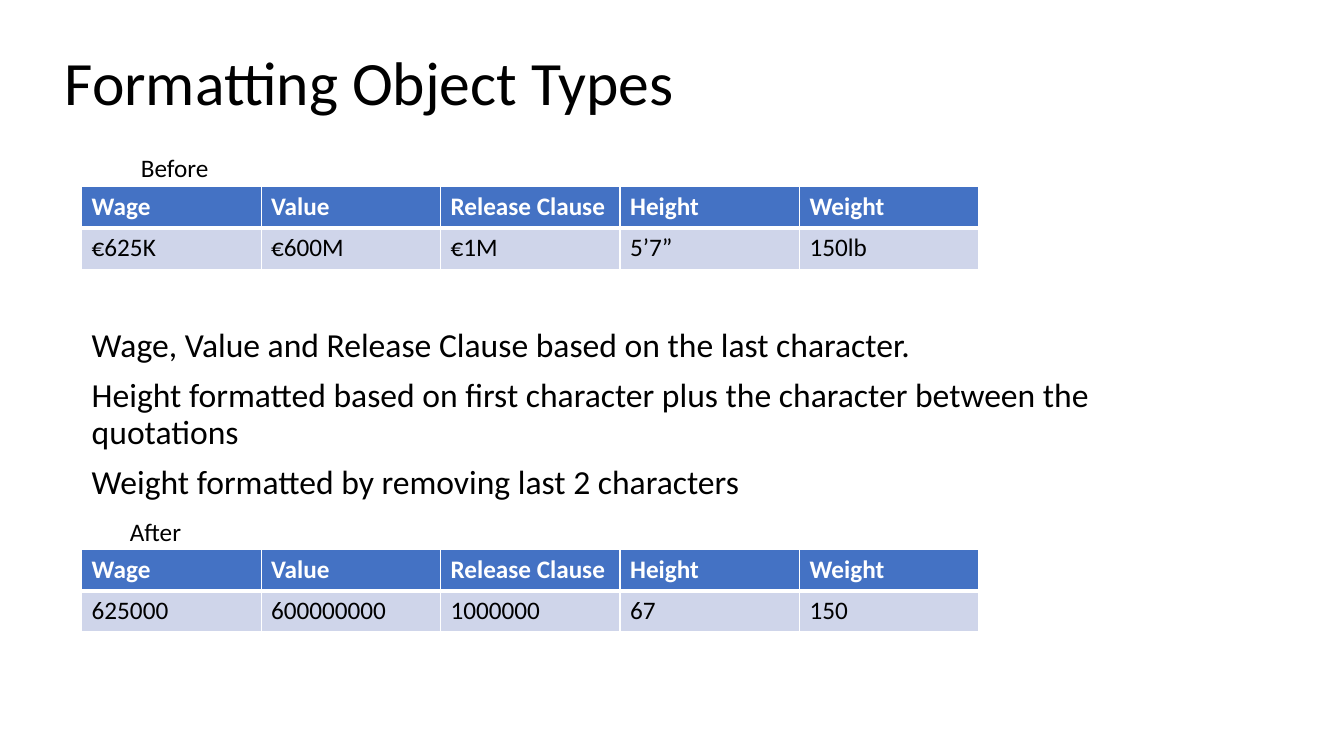
from lxml import etree
from pptx import Presentation
from pptx.dml.color import RGBColor
from pptx.enum.text import MSO_ANCHOR, MSO_AUTO_SIZE, PP_ALIGN
from pptx.oxml.ns import qn
from pptx.util import Inches, Pt

BLACK = RGBColor(0x00, 0x00, 0x00)
WHITE = RGBColor(0xFF, 0xFF, 0xFF)
HEADER_BLUE = RGBColor(0x44, 0x72, 0xC4)
ROW_BLUE = RGBColor(0xCF, 0xD5, 0xEA)

HEADERS = ["Wage", "Value", "Release Clause", "Height", "Weight"]
BEFORE = ["€625K", "€600M", "€1M", "5’7”", "150lb"]
AFTER = ["625000", "600000000", "1000000", "67", "150"]
RULES = [
    "Wage, Value and Release Clause based on the last character.",
    "Height formatted based on first character plus the character between the quotations",
    "Weight formatted by removing last 2 characters",
]
COLUMN_WIDTH, ROW_HEIGHT = 1.78, 0.41


def format_paragraph(paragraph, size, color=BLACK, bold=False):
    font = paragraph.font
    font.name, font.size, font.bold = "Calibri", Pt(size), bold
    font.color.rgb = color
    paragraph.alignment = PP_ALIGN.LEFT


def place(shape, left, top, width, height):
    shape.left, shape.top = Inches(left), Inches(top)
    shape.width, shape.height = Inches(width), Inches(height)


def fill_title(title, text, left, top, width, height):
    place(title, left, top, width, height)
    frame = title.text_frame
    frame.text = text
    frame.auto_size = MSO_AUTO_SIZE.NONE
    frame.vertical_anchor = MSO_ANCHOR.MIDDLE
    format_paragraph(frame.paragraphs[0], 44)
    frame.paragraphs[0].line_spacing = 0.9


def fill_body(body, lines, left, top, width, height):
    """Fill the body placeholder with unbulleted paragraphs."""
    place(body, left, top, width, height)
    frame = body.text_frame
    frame.text = "\n".join(lines)
    frame.auto_size = MSO_AUTO_SIZE.NONE
    for paragraph in frame.paragraphs:
        format_paragraph(paragraph, 24)
        paragraph.line_spacing = 0.9
        paragraph.space_before = Pt(10)
        properties = paragraph._p.get_or_add_pPr()
        properties.set("marL", "0")
        properties.set("indent", "0")
        etree.SubElement(properties, qn("a:buNone"))


def add_borders(cell, bottom_width):
    """Draw white cell borders, 1 pt except along the bottom."""
    properties = cell._tc.get_or_add_tcPr()
    for side, width in (("L", 1), ("R", 1), ("T", 1), ("B", bottom_width)):
        line = etree.SubElement(properties, qn(f"a:ln{side}"), w=str(Pt(width)))
        fill = etree.SubElement(line, qn("a:solidFill"))
        etree.SubElement(fill, qn("a:srgbClr"), val=str(WHITE))


def add_player_table(slide, values, left, top):
    rows = [HEADERS, values]
    table = slide.shapes.add_table(
        len(rows), len(HEADERS), Inches(left), Inches(top),
        Inches(COLUMN_WIDTH * len(HEADERS)), Inches(ROW_HEIGHT * len(rows)),
    ).table
    for row_index, row in enumerate(rows):
        is_header = row_index == 0
        for column_index, text in enumerate(row):
            cell = table.cell(row_index, column_index)
            cell.text = text
            format_paragraph(cell.text_frame.paragraphs[0], 18,
                             WHITE if is_header else BLACK, is_header)
            # The header's bottom line and the value row's top line coincide
            add_borders(cell, 3 if is_header else 1)
            cell.fill.solid()
            cell.fill.fore_color.rgb = HEADER_BLUE if is_header else ROW_BLUE


def add_label(slide, text, left, top, width, height):
    label = slide.shapes.add_textbox(
        Inches(left), Inches(top), Inches(width), Inches(height))
    frame = label.text_frame
    frame.text = text
    frame.word_wrap = False
    frame.auto_size = MSO_AUTO_SIZE.SHAPE_TO_FIT_TEXT
    format_paragraph(frame.paragraphs[0], 18)


def build_formatting_slide(presentation):
    slide = presentation.slides.add_slide(presentation.slide_layouts[1])
    fill_title(slide.shapes.title, "Formatting Object Types", 0.54, 0.12, 11.5, 1.45)
    fill_body(slide.placeholders[1], RULES, 0.81, 3.21, 11.11, 4.29)
    add_player_table(slide, BEFORE, 0.81, 1.85)
    add_player_table(slide, AFTER, 0.81, 5.45)
    add_label(slide, "After", 1.19, 5.07, 0.72, 0.4)
    add_label(slide, "Before", 1.3, 1.46, 0.88, 0.4)


def main():
    presentation = Presentation()
    presentation.slide_width = Inches(13.33)
    presentation.slide_height = Inches(7.5)
    build_formatting_slide(presentation)
    presentation.save("out.pptx")


if __name__ == "__main__":
    main()
